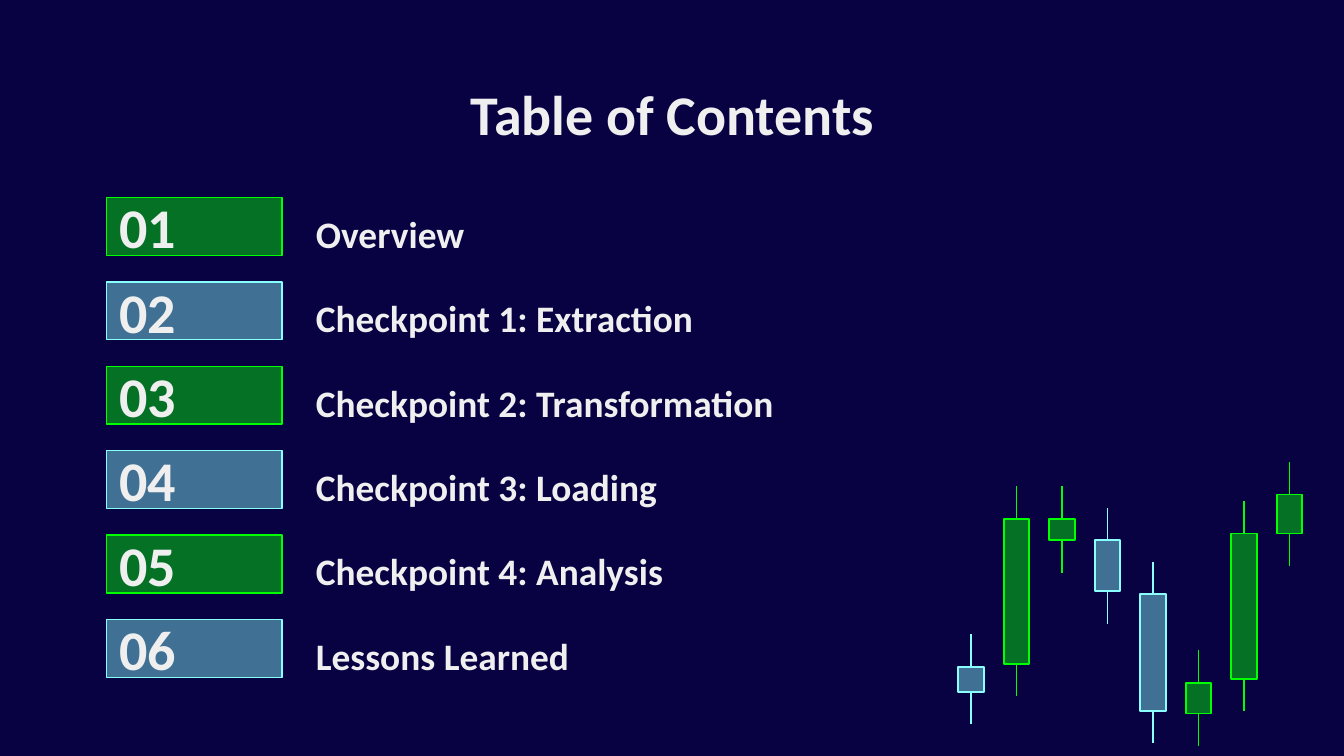
import dataclasses

import lxml.etree
import pptx
import pptx.dml.color
import pptx.enum.shapes
import pptx.enum.text
import pptx.oxml.ns
import pptx.util

Inches = pptx.util.Inches
Pt = pptx.util.Pt
qn = pptx.oxml.ns.qn
ANCHOR = pptx.enum.text.MSO_ANCHOR
ALIGN = pptx.enum.text.PP_ALIGN

COLORS = {"back": "080243", "text": "EFEFEF", "green": "00FF00", "cyan": "89FFFF"}
TOPICS = [
    "Overview",
    "Checkpoint 1: Extraction",
    "Checkpoint 2: Transformation",
    "Checkpoint 3: Loading",
    "Checkpoint 4: Analysis",
    "Lessons Learned",
]
LEFT, TOP, LAST = 0.79, 1.47, 4.61
STEP = (LAST - TOP) / (len(TOPICS) - 1)
BOX_W, BOX_H = 1.31, 0.43
LINE_H = 24  # height in points of one 20 pt line
OPACITY = 44
CANDLE_X, CANDLE_END, CANDLE_W, WICK = 7.13, 9.5, 0.19, 0.24


@dataclasses.dataclass
class Candle:
    color: str
    top: float
    base: float


CANDLES = [
    Candle("cyan", 4.96, 5.15),
    Candle("green", 3.86, 4.94),
    Candle("green", 3.86, 4.02),
    Candle("cyan", 4.02, 4.4),
    Candle("cyan", 4.42, 5.29),
    Candle("green", 5.08, 5.31),
    Candle("green", 3.97, 5.05),
    Candle("green", 3.68, 3.97),
]


def rgb(name: str) -> pptx.dml.color.RGBColor:
    return pptx.dml.color.RGBColor.from_string(COLORS[name])


def place(shape, x: float, y: float, w: float, h: float) -> None:
    shape.left, shape.top = Inches(x), Inches(y)
    shape.width, shape.height = Inches(w), Inches(h)


def set_frame(frame, anchor) -> None:
    """Give a text frame equal insets, wrapping and a fixed size."""
    frame.word_wrap = True
    frame.auto_size = pptx.enum.text.MSO_AUTO_SIZE.NONE
    frame.vertical_anchor = anchor
    frame.margin_left = frame.margin_right = Inches(0.1)
    frame.margin_top = frame.margin_bottom = Inches(0.1)


def set_font(para, size: int) -> None:
    font = para.font
    font.name, font.size, font.bold = "Calibri", Pt(size), True
    font.color.rgb = rgb("text")


def add_box(slide, x: float, y: float, w: float, h: float, color: str, line: float):
    """Draw a see-through box with a solid outline."""
    kind = pptx.enum.shapes.MSO_SHAPE.RECTANGLE
    box = slide.shapes.add_shape(kind, Inches(x), Inches(y), Inches(w), Inches(h))
    box.shadow.inherit = False
    box.fill.solid()
    box.fill.fore_color.rgb = rgb(color)
    tint = box._element.spPr.find(qn("a:solidFill"))[0]
    lxml.etree.SubElement(tint, qn("a:alpha"), val=str(OPACITY * 1000))
    box.line.color.rgb = rgb(color)
    box.line.width = Pt(line)
    return box


def add_wick(slide, x: float, y: float, color: str) -> None:
    kind = pptx.enum.shapes.MSO_CONNECTOR.STRAIGHT
    wick = slide.shapes.add_connector(
        kind, Inches(x), Inches(y), Inches(x), Inches(y + WICK)
    )
    wick.line.color.rgb = rgb(color)
    wick.line.width = Pt(1)
    lxml.etree.SubElement(wick._element.spPr, qn("a:effectLst"))


def add_candle(slide, x: float, candle: Candle) -> None:
    mid = x + CANDLE_W / 2
    height = candle.base - candle.top
    add_box(slide, x, candle.top, CANDLE_W, height, candle.color, 1)
    add_wick(slide, mid, candle.top - WICK, candle.color)
    add_wick(slide, mid, candle.base, candle.color)


def add_number(slide, index: int) -> None:
    color = "cyan" if index % 2 else "green"
    box = add_box(slide, LEFT, TOP + index * STEP, BOX_W, BOX_H, color, 0.75)
    set_frame(box.text_frame, ANCHOR.MIDDLE)
    para = box.text_frame.paragraphs[0]
    para.text = f"{index + 1:02}"
    para.alignment = ALIGN.LEFT
    set_font(para, 30)


def fill_title(title) -> None:
    place(title, LEFT, 0.49, 8.43, 0.63)
    set_frame(title.text_frame, ANCHOR.TOP)
    para = title.text_frame.paragraphs[0]
    para.text = "Table of Contents"
    para.alignment = ALIGN.CENTER
    set_font(para, 30)


def fill_topics(body) -> None:
    """List the topics so that each line stands beside its number."""
    place(body, 2.25, TOP, 4.56, LAST - TOP + BOX_H)
    frame = body.text_frame
    set_frame(frame, ANCHOR.TOP)
    frame.text = "\n".join(TOPICS)
    for index, para in enumerate(frame.paragraphs):
        props = para._p.get_or_add_pPr()
        props.set("marL", "0")
        props.set("indent", "0")
        lxml.etree.SubElement(props, qn("a:buNone"))
        para.space_before = Pt(round(STEP * 72 - LINE_H, 1) if index else 0)
        set_font(para, 20)


def main() -> None:
    deck = pptx.Presentation()
    deck.slide_width = Inches(10)
    deck.slide_height = deck.slide_width * 9 // 16
    slide = deck.slides.add_slide(deck.slide_layouts[1])
    slide.background.fill.solid()
    slide.background.fill.fore_color.rgb = rgb("back")

    fill_title(slide.shapes.title)
    fill_topics(slide.placeholders[1])
    for index in range(len(TOPICS)):
        add_number(slide, index)
    pitch = (CANDLE_END - CANDLE_X) / (len(CANDLES) - 1)
    for index, candle in enumerate(CANDLES):
        add_candle(slide, CANDLE_X + index * pitch, candle)
    deck.save("out.pptx")


if __name__ == "__main__":
    main()
